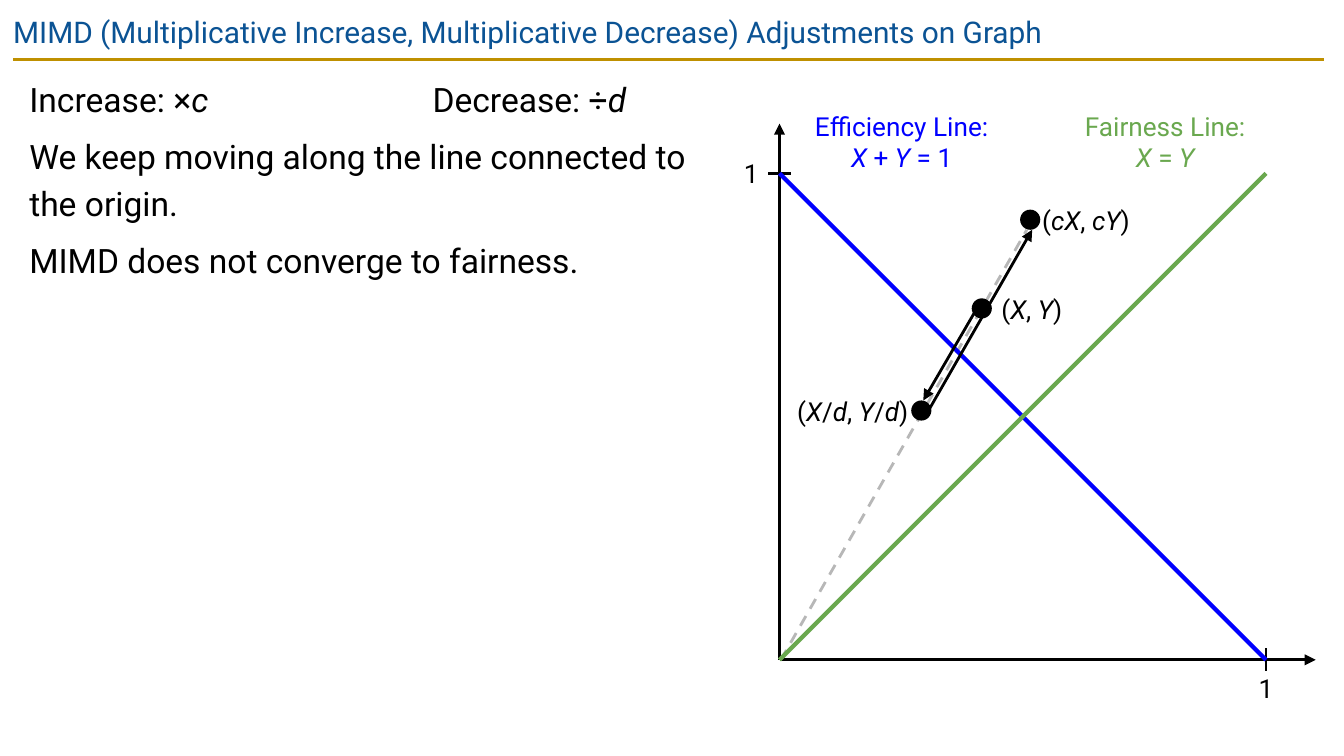
from dataclasses import dataclass

from lxml import etree
from pptx import Presentation
from pptx.dml.color import RGBColor
from pptx.enum.dml import MSO_LINE
from pptx.enum.shapes import MSO_CONNECTOR, MSO_SHAPE
from pptx.enum.text import MSO_ANCHOR, PP_ALIGN
from pptx.oxml.ns import qn
from pptx.slide import Slide
from pptx.util import Inches, Pt

STRAIGHT = MSO_CONNECTOR.STRAIGHT
OVAL = MSO_SHAPE.OVAL
DASH = MSO_LINE.DASH
TOP = MSO_ANCHOR.TOP
LEFT = PP_ALIGN.LEFT
CENTER = PP_ALIGN.CENTER

FONT = "Roboto"
BLACK, BLUE, GREEN = "000000", "0000FF", "6AA84F"
NAVY, GOLD, GRAY = "0B5394", "BF9000", "B7B7B7"

PAGE_WIDTH = 10
PAGE_HEIGHT = PAGE_WIDTH * 9 / 16
ORIGIN_X, ORIGIN_Y, UNIT = 5.8, 4.91, 3.62
ONE_X, ONE_Y = ORIGIN_X + UNIT, ORIGIN_Y - UNIT
TICK = 0.085
DOT = 0.15


@dataclass
class Line:
    start: tuple[float, float]
    end: tuple[float, float]
    color: str = BLACK
    width: float = 1.5
    dashed: bool = False
    arrow: bool = False


@dataclass
class Label:
    left: float
    top: float
    width: float
    height: float
    lines: list[str]
    color: str = BLACK
    size: float = 14
    align: PP_ALIGN = CENTER
    inset: float = 0
    line_spacing: float = 1.0
    gap: float = 0
    tab_stop: float = 0


RULE = Line((0.1, 0.44), (9.85, 0.44), GOLD)
RAY = Line((5.81, ORIGIN_Y), (7.64, 1.71), GRAY, dashed=True)
GRAPH_LINES = [
    Line((ORIGIN_X, ORIGIN_Y), (ORIGIN_X, 0.92), arrow=True),
    Line((ORIGIN_X - TICK, ONE_Y), (ORIGIN_X + TICK, ONE_Y)),
    Line((ORIGIN_X, ORIGIN_Y), (9.79, ORIGIN_Y), arrow=True),
    Line((ONE_X, ORIGIN_Y - TICK), (ONE_X, ORIGIN_Y + TICK)),
    Line((ORIGIN_X, ONE_Y), (ONE_X, ORIGIN_Y), BLUE, 2.25),
    Line((ORIGIN_X, ORIGIN_Y), (ONE_X, ONE_Y), GREEN, 2.25),
]
MOVES = [
    Line((7.26, 2.31), (6.87, 2.98), arrow=True),
    Line((6.9, 3.07), (7.68, 1.71), arrow=True),
]
DOTS = [(7.23, 2.22), (6.78, 2.98), (7.59, 1.56)]

LABELS = [
    Label(0, 0, 9.32, 0.43,
          ["MIMD (Multiplicative Increase, Multiplicative Decrease) Adjustments on Graph"],
          NAVY, 16, LEFT, inset=0.1),
    Label(0.12, 0.44, 5.17, 3.99,
          ["Increase: ×_c_\tDecrease: ÷_d_",
           "We keep moving along the line connected to the origin.",
           "MIMD does not converge to fairness."],
          size=18, align=LEFT, inset=0.1, line_spacing=1.15, gap=6, tab_stop=3),
    Label(5.46, 1.17, 0.26, 0.24, ["1"]),
    Label(9.29, 5, 0.26, 0.24, ["1"]),
    Label(8.02, 0.82, 1.3, 0.47, ["Fairness Line:", "_X_ = _Y_"], GREEN),
    Label(6.06, 0.82, 1.3, 0.47, ["Efficiency Line:", "_X_ + _Y_ = 1"], BLUE),
    Label(7.45, 2.18, 0.88, 0.24, ["(_X_, _Y_)"], align=LEFT),
    Label(7.73, 1.52, 0.7, 0.24, ["(_cX_, _cY_)"]),
    Label(5.93, 2.94, 0.83, 0.24, ["(_X_/_d_, _Y_/_d_)"]),
]


def rgb(color: str) -> RGBColor:
    return RGBColor.from_string(color)


def draw_line(page: Slide, line: Line) -> None:
    ends = [Inches(value) for value in (*line.start, *line.end)]
    connector = page.shapes.add_connector(STRAIGHT, *ends)
    connector.line.color.rgb = rgb(line.color)
    connector.line.width = Pt(line.width)
    if line.dashed:
        connector.line.dash_style = DASH
    properties = connector._element.spPr
    if line.arrow:
        etree.SubElement(properties.find(qn("a:ln")), qn("a:tailEnd"), type="triangle")
    etree.SubElement(properties, qn("a:effectLst"))


def draw_dot(page: Slide, left: float, top: float) -> None:
    dot = page.shapes.add_shape(OVAL, Inches(left), Inches(top), Inches(DOT), Inches(DOT))
    dot.shadow.inherit = False
    dot.fill.solid()
    dot.fill.fore_color.rgb = rgb(BLACK)
    dot.line.fill.background()


def draw_label(page: Slide, label: Label) -> None:
    box = page.shapes.add_textbox(Inches(label.left), Inches(label.top),
                                  Inches(label.width), Inches(label.height))
    frame = box.text_frame
    frame.word_wrap = True
    frame.vertical_anchor = TOP
    frame.margin_left = frame.margin_right = Inches(label.inset)
    frame.margin_top = frame.margin_bottom = Inches(label.inset)
    for index, text in enumerate(label.lines):
        para = frame.add_paragraph() if index else frame.paragraphs[0]
        para.alignment = label.align
        para.line_spacing = label.line_spacing
        para.space_before = Pt(label.gap if index else 0)
        if "\t" in text:
            tabs = etree.SubElement(para._p.get_or_add_pPr(), qn("a:tabLst"))
            etree.SubElement(tabs, qn("a:tab"), pos=str(Inches(label.tab_stop)), algn="l")
        para.font.name = FONT
        para.font.size = Pt(label.size)
        para.font.color.rgb = rgb(label.color)
        for position, part in enumerate(text.split("_")):
            if part:
                span = para.add_run()
                span.text = part
                if position % 2:
                    span.font.italic = True


def main() -> None:
    deck = Presentation()
    deck.slide_width, deck.slide_height = Inches(PAGE_WIDTH), Inches(PAGE_HEIGHT)
    page = deck.slides.add_slide(deck.slide_layouts[6])
    for line in (RULE, RAY, *GRAPH_LINES):
        draw_line(page, line)
    for label in LABELS:
        draw_label(page, label)
    for left, top in DOTS:
        draw_dot(page, left, top)
    for move in MOVES:
        draw_line(page, move)
    deck.save("out.pptx")


if __name__ == "__main__":
    main()
